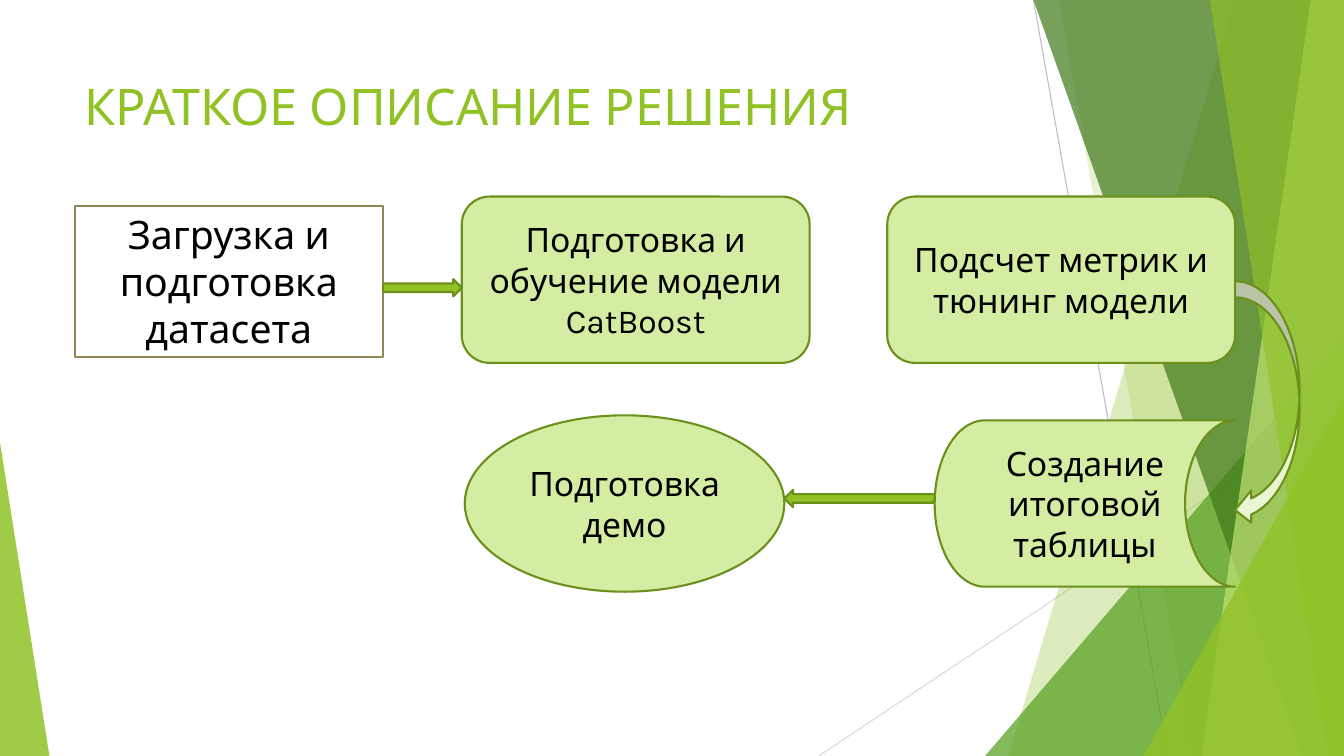
import lxml.etree
import pptx
import pptx.util
import pptx.dml.color
import pptx.enum.shapes
import pptx.enum.text
import pptx.oxml.ns

RGBColor = pptx.dml.color.RGBColor
Pt = pptx.util.Pt
SHAPE = pptx.enum.shapes.MSO_SHAPE
qn = pptx.oxml.ns.qn

LIME = RGBColor(0x90, 0xC2, 0x26)
GREEN = RGBColor(0x54, 0xA0, 0x21)
FOREST = RGBColor(0x3F, 0x78, 0x19)
PALE_LIME = RGBColor(0xC0, 0xE4, 0x74)
STEP_FILL = RGBColor(0xD5, 0xED, 0xA2)
CURVE_FILL = RGBColor(0xEA, 0xF6, 0xD1)
OUTLINE = RGBColor(0x6B, 0x90, 0x1C)
KHAKI = RGBColor(0x91, 0x86, 0x55)
WHITE = RGBColor(0xFF, 0xFF, 0xFF)
BLACK = RGBColor(0x00, 0x00, 0x00)
GREY = RGBColor(0xBF, 0xBF, 0xBF)
LIGHT_GREY = RGBColor(0xD9, 0xD9, 0xD9)
FONT = "Karla"

presentation = pptx.Presentation()
presentation.slide_width = pptx.util.Inches(13.33)
presentation.slide_height = pptx.util.Inches(7.5)
slide = presentation.slides.add_slide(presentation.slide_layouts[6])
shapes = slide.shapes

# The slide is a grid of 160 columns by 90 rows of square cells.
COLUMNS, ROWS = 160, 90
CELL = presentation.slide_height / ROWS


def cells(*counts):
    return [round(count * CELL) for count in counts]


def fill_translucent(facet, color, opacity):
    facet.shadow.inherit = False
    facet.line.fill.background()
    facet.fill.solid()
    facet.fill.fore_color.rgb = color
    color_node = facet._element.spPr.find(qn("a:solidFill")).find(qn("a:srgbClr"))
    lxml.etree.SubElement(color_node, qn("a:alpha"), val=str(opacity * 1000))


# Background rays
for ends, color in [((123, 0, 139, ROWS), GREY),
                    ((COLUMNS, 48.36, 97.44, ROWS), LIGHT_GREY)]:
    ray = shapes.add_connector(pptx.enum.shapes.MSO_CONNECTOR.STRAIGHT, *cells(*ends))
    ray.line.color.rgb = color
    ray.line.width = Pt(0.75)
    lxml.etree.SubElement(ray._element.spPr, qn("a:effectLst"))

# Background facets: bands run to the right edge, triangles stand on the bottom
TOP = -0.1
facets = [
    ("band", (147.36, 120.48), LIME, 30),
    ("band", (126, 141.96), LIME, 20),
    ("triangle", (117.24, COLUMNS, 40, 1), GREEN, 72),
    ("band", (122.52, 154.92), FOREST, 70),
    ("band", (156.36, 143.04), PALE_LIME, 70),
    ("band", (143.52, 158.16), LIME, 65),
    ("triangle", (136.08, COLUMNS, 47.16, 1), LIME, 80),
    ("triangle", (0, 5.88, 52.68, 0), LIME, 85),
]
for kind, geometry, color, opacity in facets:
    if kind == "band":
        top_x, bottom_x = geometry
        outline = shapes.build_freeform(top_x, TOP, scale=CELL)
        outline.add_line_segments([(COLUMNS, TOP), (COLUMNS, ROWS), (bottom_x, ROWS)])
        facet = outline.convert_to_shape()
    else:
        left, right, peak_y, peak_share = geometry
        facet = shapes.add_shape(SHAPE.ISOSCELES_TRIANGLE,
                                 *cells(left, peak_y, right - left, ROWS - peak_y))
        facet.adjustments[0] = peak_share
    fill_translucent(facet, color, opacity)

# Title
LEFT = 8.88
title = shapes.add_textbox(*cells(LEFT, 8.4, 112.8, 16.92)).text_frame
title.word_wrap = True
title.text = "КРАТКОЕ ОПИСАНИЕ РЕШЕНИЯ"
heading = title.paragraphs[0]
heading.font.name = FONT
heading.font.size = Pt(36)
heading.font.color.rgb = LIME

# Process: upper row goes right, the curved arrow turns into the lower row
STEP_W, STEP_H = 41.4, 19.8
UPPER, LOWER = 23.4, 50.04
DATA_W = 36.72
DATA_END = LEFT + DATA_W
TRAIN_X, METRICS_X = 54.96, 105.6
STEPS_END = METRICS_X + STEP_W
TABLE_X = 111.24
DEMO_X, DEMO_W = 55.32, 38.04
DEMO_END = DEMO_X + DEMO_W
ARROW_H = 2.04

process = [
    (SHAPE.RECTANGLE, (LEFT, 24.48, DATA_W, 18), WHITE, KHAKI, 28,
     "Загрузка и подготовка датасета"),
    (SHAPE.ROUNDED_RECTANGLE, (TRAIN_X, UPPER, STEP_W, STEP_H), STEP_FILL, OUTLINE, 24,
     "Подготовка и обучение модели CatBoost"),
    (SHAPE.ROUNDED_RECTANGLE, (METRICS_X, UPPER, STEP_W, STEP_H), STEP_FILL, OUTLINE, 24,
     "Подсчет метрик и тюнинг модели"),
    (SHAPE.RIGHT_ARROW, (DATA_END, 33.24, TRAIN_X - DATA_END, ARROW_H),
     LIME, OUTLINE, 0, ""),
    (SHAPE.RIGHT_ARROW, (DEMO_END, 58.32, TABLE_X - DEMO_END, ARROW_H),
     LIME, OUTLINE, 0, ""),
    (SHAPE.CURVED_LEFT_ARROW, (STEPS_END, 33.48, 7.68, 29.16),
     CURVE_FILL, OUTLINE, 0, ""),
    (SHAPE.FLOWCHART_STORED_DATA, (TABLE_X, LOWER, STEPS_END - TABLE_X, STEP_H),
     STEP_FILL, OUTLINE, 24, "Создание итоговой таблицы"),
    (SHAPE.OVAL, (DEMO_X, 49.44, DEMO_W, 21), STEP_FILL, OUTLINE, 24,
     "Подготовка демо"),
]
for kind, box, fill, outline_color, size, label in process:
    step = shapes.add_shape(kind, *cells(*box))
    step.shadow.inherit = False
    step.fill.solid()
    step.fill.fore_color.rgb = fill
    step.line.color.rgb = outline_color
    step.line.width = Pt(1.5)
    if kind == SHAPE.RIGHT_ARROW and box[0] == DEMO_END:
        step.rotation = 180
    if label:
        step.text_frame.word_wrap = True
        step.text_frame.vertical_anchor = pptx.enum.text.MSO_ANCHOR.MIDDLE
        step.text_frame.text = label
        paragraph = step.text_frame.paragraphs[0]
        paragraph.alignment = pptx.enum.text.PP_ALIGN.CENTER
        paragraph.font.name = FONT
        paragraph.font.size = Pt(size)
        paragraph.font.color.rgb = BLACK

presentation.save("out.pptx")
